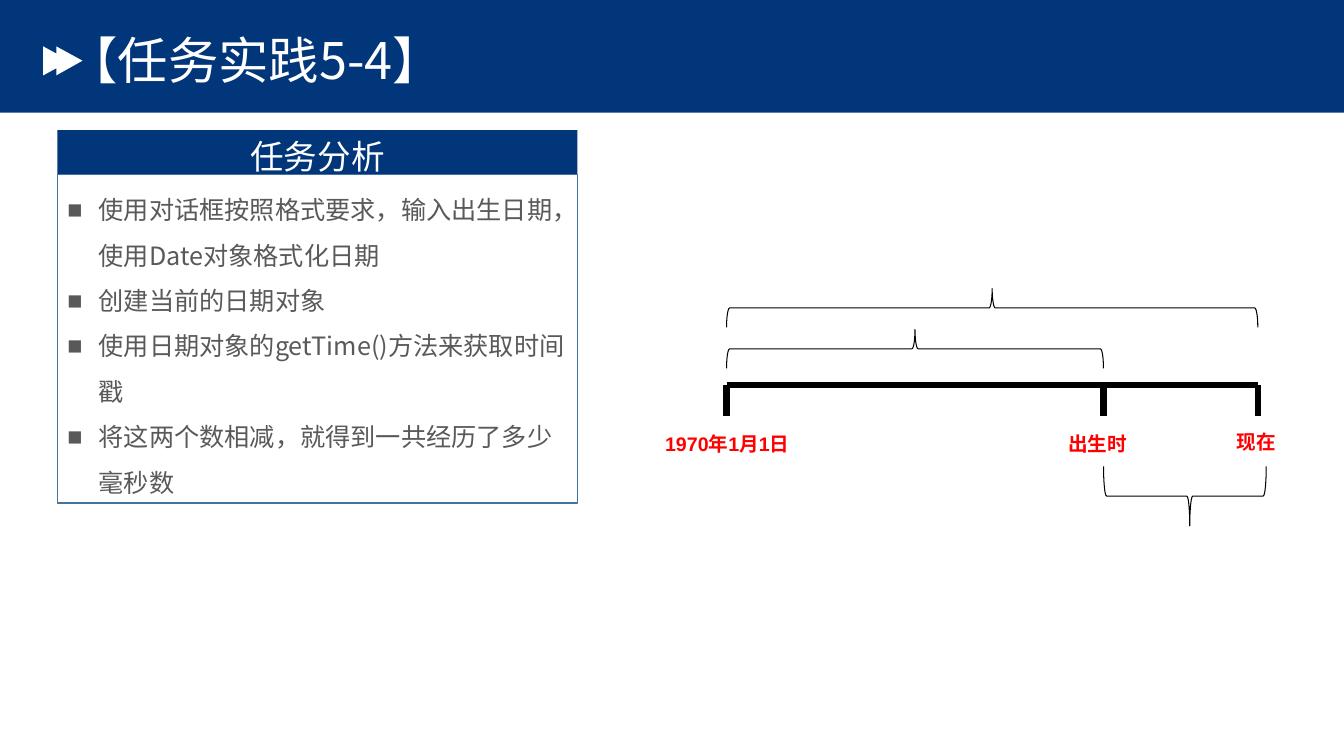
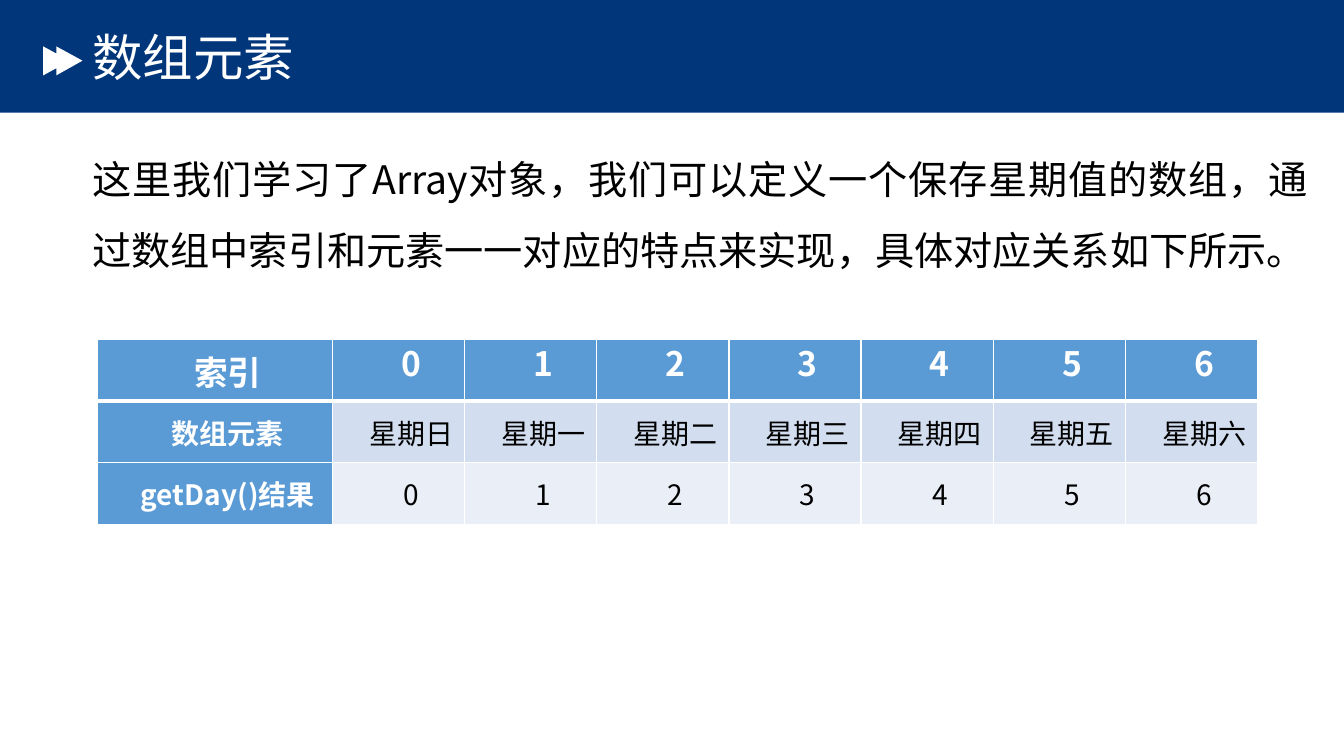
from lxml import etree
from pptx import Presentation
from pptx.dml.color import RGBColor
from pptx.enum.shapes import MSO_CONNECTOR, MSO_SHAPE
from pptx.enum.text import MSO_ANCHOR, PP_ALIGN
from pptx.oxml.ns import qn
from pptx.util import Cm, Pt

RECT = MSO_SHAPE.RECTANGLE
BRACE = MSO_SHAPE.RIGHT_BRACE
LINE = MSO_CONNECTOR.STRAIGHT
TOP, MIDDLE = MSO_ANCHOR.TOP, MSO_ANCHOR.MIDDLE
LEFT, CENTER, JUSTIFY = PP_ALIGN.LEFT, PP_ALIGN.CENTER, PP_ALIGN.JUSTIFY

NAVY = RGBColor(0x01, 0x36, 0x7A)
STEEL = RGBColor(0x43, 0x73, 0x9E)
BLUE = RGBColor(0x5B, 0x9B, 0xD5)
PALE = RGBColor(0xD2, 0xDE, 0xEF)
MIST = RGBColor(0xEA, 0xEF, 0xF7)
GRAY = RGBColor(0x59, 0x59, 0x59)
RED = RGBColor(0xFF, 0x00, 0x00)
BLACK = RGBColor(0x00, 0x00, 0x00)
WHITE = RGBColor(0xFF, 0xFF, 0xFF)
SANS, ARIAL = "Noto Sans CJK SC", "Arial"
WIDTH, HEIGHT = 33.87, 19.05


class Deck:
    """Holds the shared style and the current slide, and draws each kind of element."""

    def __init__(self):
        self.show = Presentation()
        self.show.slide_width, self.show.slide_height = Cm(WIDTH), Cm(HEIGHT)
        self.slide = None

    def page(self, title, left, top, width, height):
        self.slide = self.show.slides.add_slide(self.show.slide_layouts[6])
        self.rect(0, 0, WIDTH, 2.84, fill=NAVY)
        self.arrow()
        self.text(title, left, top, width, height, 36, WHITE, anchor=MIDDLE, space=0.9)

    def plain(self, shape, fill=None, line=None, weight=1):
        shape.shadow.inherit = False
        if fill is None:
            shape.fill.background()
        else:
            shape.fill.solid()
            shape.fill.fore_color.rgb = fill
        if line is None:
            shape.line.fill.background()
        else:
            shape.line.color.rgb = line
            shape.line.width = Pt(weight)
        return shape

    def rect(self, left, top, width, height, fill=None, line=None):
        shape = self.slide.shapes.add_shape(RECT, Cm(left), Cm(top), Cm(width), Cm(height))
        return self.plain(shape, fill, line)

    def arrow(self):
        spots = [(1.42, 1.35), (1.42, 1.17), (2.08, 1.53), (1.42, 1.9), (1.42, 1.72), (1.09, 1.9)]
        pen = self.slide.shapes.build_freeform(Cm(1.09), Cm(1.17))
        pen.add_line_segments([(Cm(x), Cm(y)) for x, y in spots])
        self.plain(pen.convert_to_shape(), WHITE)

    def style(self, frame, size, color, font=SANS, bold=False, align=LEFT, space=None):
        for para in frame.paragraphs:
            para.alignment = align
            para.line_spacing = space
            for run in para.runs:
                run.font.name = font
                run.font.size = Pt(size)
                run.font.bold = bold
                run.font.color.rgb = color
                etree.SubElement(run._r.get_or_add_rPr(), qn("a:ea"), typeface=SANS)

    def indent(self, para, margin, first):
        props = para._p.get_or_add_pPr()
        props.set("marL", str(Cm(margin)))
        props.set("indent", str(Cm(first)))
        return props

    def text(self, words, left, top, width, height, size, color, anchor=TOP, **look):
        box = self.slide.shapes.add_textbox(Cm(left), Cm(top), Cm(width), Cm(height))
        frame = box.text_frame
        frame.word_wrap = True
        frame.vertical_anchor = anchor
        frame.text = words
        self.style(frame, size, color, **look)

    def panel(self, title, items, left, top, width, head, body):
        frame = self.rect(left, top, width, head, fill=NAVY).text_frame
        frame.vertical_anchor = TOP
        frame.margin_top = Cm(0.15)
        frame.text = title
        self.style(frame, 24, WHITE, align=CENTER)
        frame = self.rect(left, top + head, width, body, line=STEEL).text_frame
        frame.vertical_anchor = TOP
        frame.text = "\n".join(items)
        for para in frame.paragraphs:
            props = self.indent(para, 0.79, -0.79)
            etree.SubElement(props, qn("a:buFont"), typeface=ARIAL)
            etree.SubElement(props, qn("a:buChar"), char="■")
        self.style(frame, 18, GRAY, space=1.5)

    def line(self, x1, y1, x2, y2):
        link = self.slide.shapes.add_connector(LINE, Cm(x1), Cm(y1), Cm(x2), Cm(y2))
        link.line.color.rgb = BLACK
        link.line.width = Pt(4.5)
        etree.SubElement(link._element.spPr, qn("a:effectLst"))

    def brace(self, start, end, mid, depth, turn, bend, peak):
        span = end - start
        left, top = (start + end - depth) / 2, mid - span / 2
        shape = self.slide.shapes.add_shape(BRACE, Cm(left), Cm(top), Cm(depth), Cm(span))
        shape.rotation = turn
        shape.adjustments[0], shape.adjustments[1] = bend, peak
        self.plain(shape, line=BLACK, weight=0.75)

    def edges(self, cell, row):
        props = cell._tc.get_or_add_tcPr()
        widths = {"lnL": 1, "lnR": 1, "lnT": 3 if row == 1 else 1, "lnB": 3 if row == 0 else 1}
        for spot, (side, weight) in enumerate(widths.items()):
            edge = etree.Element(qn(f"a:{side}"), w=str(Pt(weight)))
            fill = etree.SubElement(edge, qn("a:solidFill"))
            etree.SubElement(fill, qn("a:srgbClr"), val=str(WHITE))
            props.insert(spot, edge)

    def table(self, rows, left, top, first, rest, height):
        count = len(rows[0])
        width = first + rest * (count - 1)
        grid = self.slide.shapes.add_table(
            len(rows), count, Cm(left), Cm(top), Cm(width), Cm(height * len(rows))).table
        for col in range(count):
            grid.columns[col].width = Cm(rest if col else first)
        for row, words in enumerate(rows):
            grid.rows[row].height = Cm(height)
            for col, word in enumerate(words):
                self.cell(grid.cell(row, col), word, row, col)

    def cell(self, cell, word, row, col):
        head = row == 0 or col == 0
        cell.fill.solid()
        cell.fill.fore_color.rgb = BLUE if head else (PALE, MIST)[row - 1]
        cell.margin_left = cell.margin_right = Cm(0.18)
        cell.margin_top = cell.margin_bottom = 0
        cell.vertical_anchor = MIDDLE
        cell.text_frame.text = word
        self.indent(cell.text_frame.paragraphs[0], 0, 0.64)
        self.style(cell.text_frame, 20 if row else 24, WHITE if head else BLACK, bold=head,
                   align=CENTER, space=Pt(22) if row == 0 and col else None)
        self.edges(cell, row)


def task(deck):
    deck.page("【任务实践5-4】", 1.45, 0.89, 16.71, 1.42)
    deck.panel("任务分析", [
        "使用对话框按照格式要求，输入出生日期，使用Date对象格式化日期",
        "创建当前的日期对象",
        "使用日期对象的getTime()方法来获取时间戳",
        "将这两个数相减，就得到一共经历了多少毫秒数",
    ], 1.45, 3.28, 13.1, 1.12, 8.28)
    epoch, birth, now, axis = 18.31, 27.81, 31.7, 9.7
    deck.line(epoch, axis, now, axis)
    for spot, word, left, top, width in [
        (epoch, "1970年1月1日", 16.51, 10.49, 4.5),
        (birth, "出生时", 26.67, 10.49, 2.18),
        (now, "现在", 30.91, 10.44, 1.6),
    ]:
        deck.line(spot, axis, spot, axis + 0.79)
        deck.text(word, left, top, width, 1.4, 14, RED, anchor=MIDDLE, font=ARIAL, bold=True)
    deck.brace(birth, 31.91, 12.5, 1.5, 90, 0.05, 0.47)
    deck.brace(epoch, birth, 8.79, 0.98, 270, 0.08, 0.5)
    deck.brace(epoch, now, 7.76, 0.98, 270, 0.08, 0.5)


def week(deck):
    deck.page("数组元素", 2.08, 0.69, 20.52, 1.65)
    deck.text("这里我们学习了Array对象，我们可以定义一个保存星期值的数组，"
              "通过数组中索引和元素一一对应的特点来实现，具体对应关系如下所示。",
              2.08, 3.2, 31.14, 4.5, 28, BLACK, align=JUSTIFY, space=1.5)
    days = [str(day) for day in range(7)]
    deck.table([
        ["索引", *days],
        ["数组元素", *("星期" + name for name in "日一二三四五六")],
        ["getDay()结果", *days],
    ], 2.46, 8.56, 5.92, 3.33, 1.55)


def main():
    deck = Deck()
    task(deck)
    week(deck)
    deck.show.save("out.pptx")


if __name__ == "__main__":
    main()
